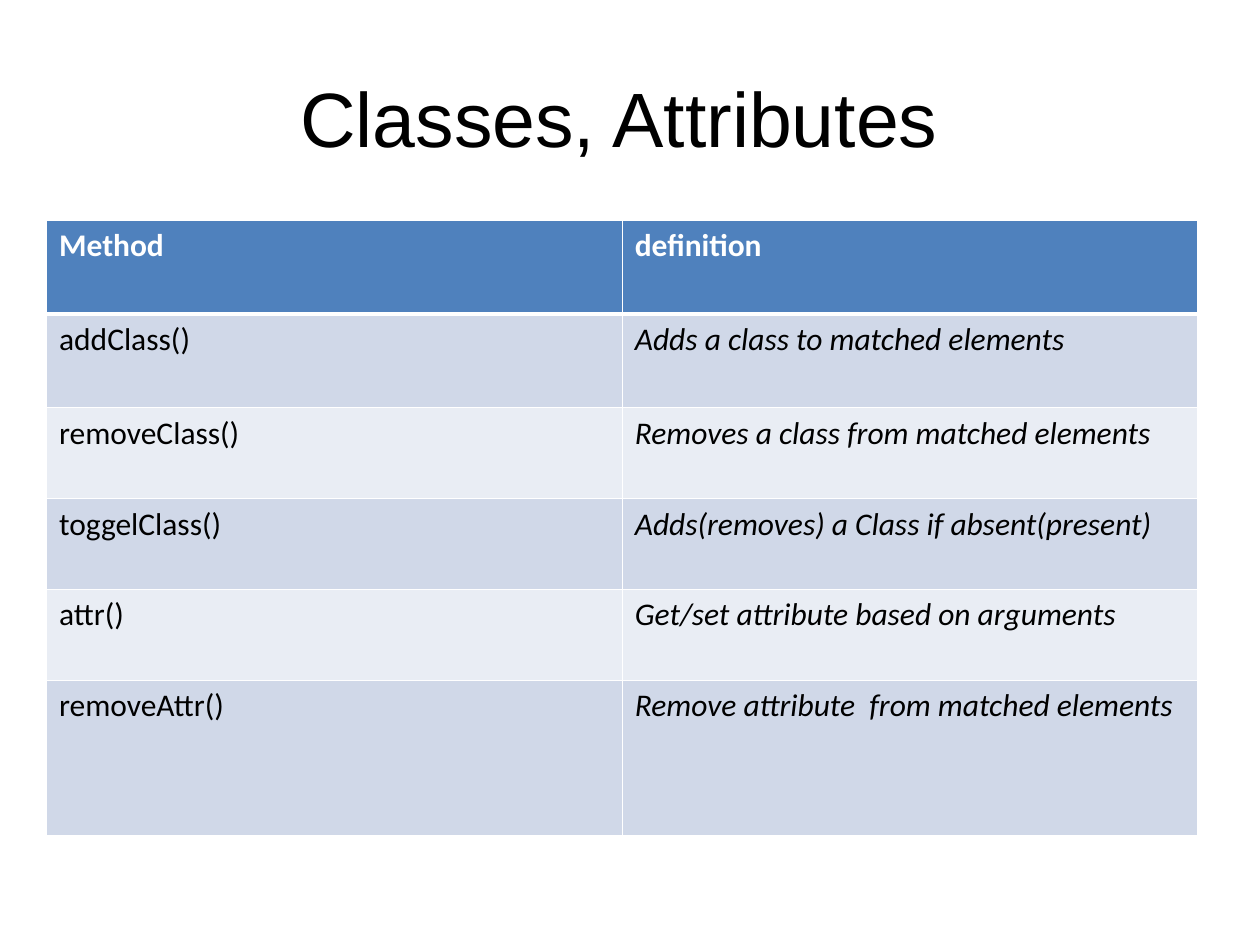
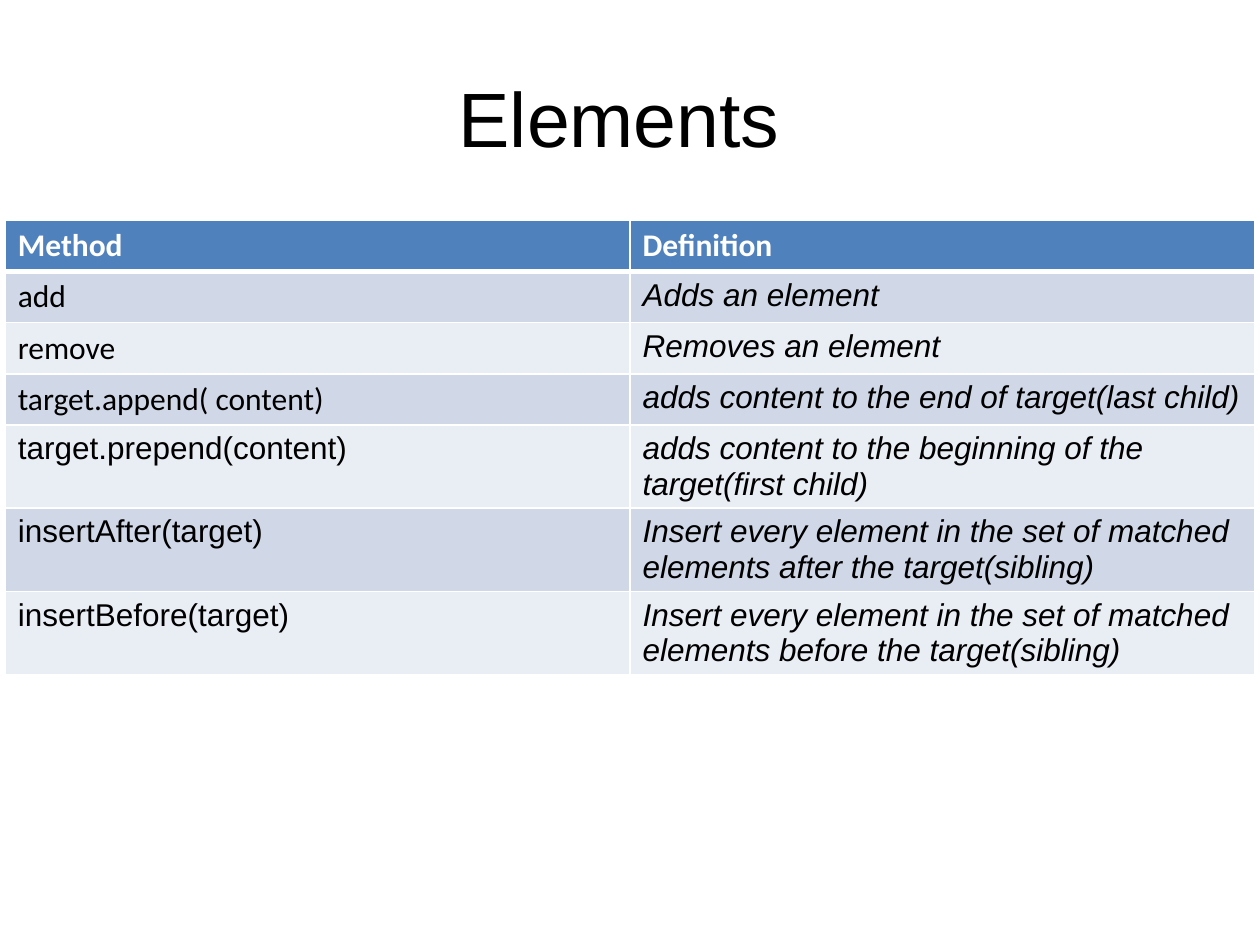
from lxml import etree
from pptx import Presentation
from pptx.dml.color import RGBColor
from pptx.enum.text import MSO_ANCHOR as Anchor, PP_ALIGN as Align
from pptx.oxml.ns import qn
from pptx.util import Pt

# Shared look
BLACK, WHITE = "000000", "FFFFFF"
HEADER_FILL = "4F81BD"
BAND_FILLS = ("D0D8E8", "E9EDF4")
TITLE_FONT, TABLE_FONT = "Arial", "Calibri"
TABLE_TOP = 126
NBSP = "\u00a0"

CLASS_ROWS = [
    (f"Method{NBSP}", f"definition{NBSP}"),
    ("addClass()", f"Adds a class to matched elements{NBSP}"),
    ("removeClass()", f"Removes a class{NBSP}from matched elements{NBSP}"),
    ("toggelClass()", f"Adds(removes) a Class if{NBSP}absent(present){NBSP}"),
    (f"attr(){NBSP}", "Get/set attribute based on arguments"),
    ("removeAttr()", f"Remove attribute {NBSP}from matched elements"),
]
ELEMENT_ROWS = [
    (f"Method{NBSP}", f"Definition{NBSP}"),
    (f"add{NBSP}", f"Adds an element{NBSP}"),
    (f"remove{NBSP}", f"Removes an element{NBSP}"),
    (f"target.append( content){NBSP}", "adds content to the end of target(last child)"),
    ("target.prepend(content)",
     "adds content to the beginning of the target(first child)"),
    ("insertAfter(target)",
     "Insert every element in the set of matched elements after the target(sibling)"),
    ("insertBefore(target)",
     f"Insert every element in the set of matched elements before{NBSP}"
     f"the target(sibling){NBSP}"),
]


def color(hex_code):
    return RGBColor.from_string(hex_code)


def format_text(text_frame, font_name, size, hex_code, bold=False, italic=False):
    for paragraph in text_frame.paragraphs:
        for run in paragraph.runs:
            font = run.font
            font.name, font.size = font_name, Pt(size)
            font.bold, font.italic = bold, italic
            font.color.rgb = color(hex_code)


def add_titled_slide(presentation, title_text):
    slide = presentation.slides.add_slide(presentation.slide_layouts[5])
    title = slide.shapes.title
    title.left, title.top, title.width, title.height = Pt(36), Pt(21.6), Pt(648), Pt(90)
    frame = title.text_frame
    frame.text = title_text
    frame.vertical_anchor = Anchor.MIDDLE
    frame.paragraphs[0].alignment = Align.CENTER
    format_text(frame, TITLE_FONT, 44, BLACK)
    return slide


def set_borders(cell, is_header):
    """White rules; a heavier one under the header, shared with the row below."""
    widths = {"lnL": 1, "lnR": 1, "lnB": 3 if is_header else 1}
    if is_header:
        widths = {"lnL": 1, "lnR": 1, "lnT": 1, "lnB": 3}
    properties = cell._tc.get_or_add_tcPr()
    for position, (side, width) in enumerate(widths.items()):
        line = etree.Element(qn(f"a:{side}"), w=str(Pt(width)))
        fill = etree.SubElement(line, qn("a:solidFill"))
        etree.SubElement(fill, qn("a:srgbClr"), val=WHITE)
        properties.insert(position, line)


def add_method_table(slide, rows, left, column_width, row_heights, font_for):
    frame = slide.shapes.add_table(len(rows), 2, Pt(left), Pt(TABLE_TOP),
                                   Pt(2 * column_width), Pt(sum(row_heights)))
    table = frame.table
    for column in table.columns:
        column.width = Pt(column_width)
    for row_index, (texts, height) in enumerate(zip(rows, row_heights)):
        table.rows[row_index].height = Pt(height)
        is_header = row_index == 0
        fill = HEADER_FILL if is_header else BAND_FILLS[(row_index - 1) % 2]
        for column_index, text in enumerate(texts):
            cell = table.cell(row_index, column_index)
            cell.text_frame.text = text
            cell.fill.solid()
            cell.fill.fore_color.rgb = color(fill)
            set_borders(cell, is_header)
            format_text(cell.text_frame, font_for(row_index, column_index), 18,
                        WHITE if is_header else BLACK, bold=is_header,
                        italic=not is_header and column_index == 1)


def class_font(row, column):
    return TABLE_FONT


def element_font(row, column):
    """Definitions and the later method names are in the title font."""
    return TITLE_FONT if row >= 4 or (row and column) else TABLE_FONT


def main():
    presentation = Presentation()
    presentation.slide_width, presentation.slide_height = Pt(720), Pt(540)

    # Classes and attributes
    slide = add_titled_slide(presentation, f"Classes, Attributes{NBSP}")
    add_method_table(slide, CLASS_ROWS, 26.6, 329,
                     [53.5] * 2 + [52] * 3 + [88.5], class_font)

    # Elements
    slide = add_titled_slide(presentation, f"Elements{NBSP}")
    add_method_table(slide, ELEMENT_ROWS, 3, 357,
                     [29.2] * len(ELEMENT_ROWS), element_font)

    presentation.save("out.pptx")


main()
